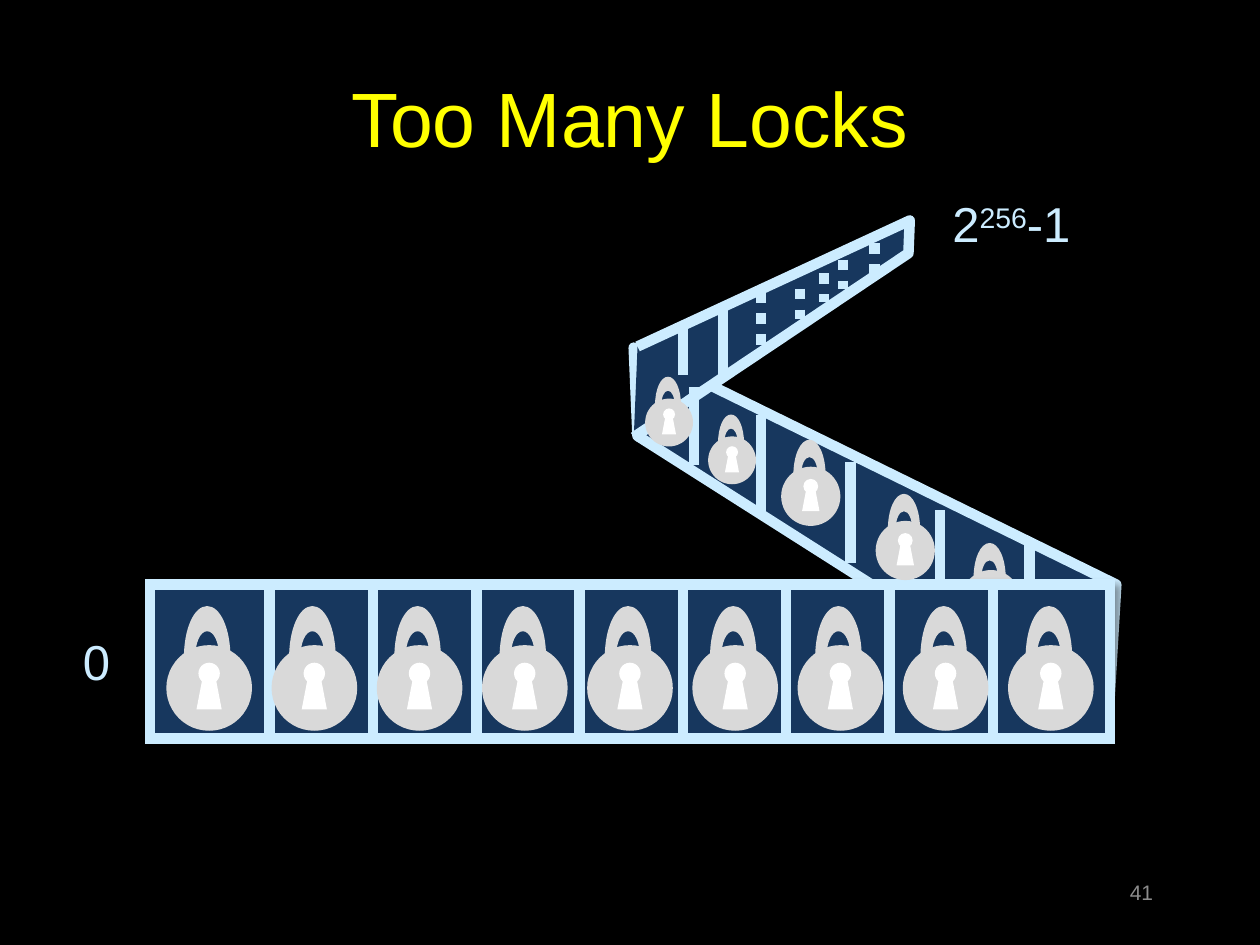
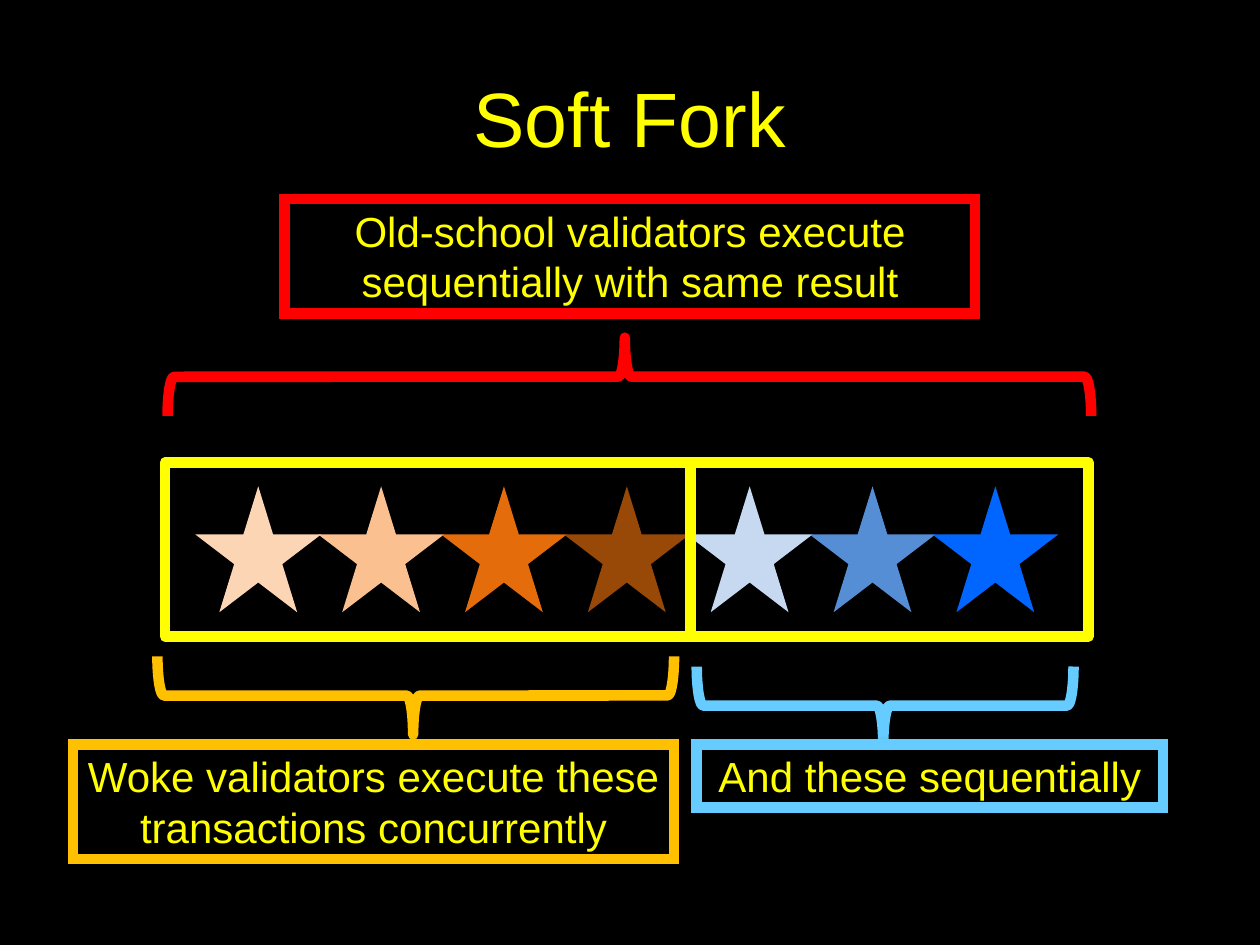
from lxml.etree import SubElement
from pptx import Presentation
from pptx.dml.color import RGBColor
from pptx.enum.dml import MSO_LINE
from pptx.enum.shapes import MSO_CONNECTOR, MSO_SHAPE
from pptx.enum.text import MSO_ANCHOR, MSO_AUTO_SIZE, PP_ALIGN
from pptx.oxml.ns import qn
from pptx.util import Pt

EMU_PER_PX = 9144  # 100 px to the inch
FONT = "Arial"
BLACK, WHITE, YELLOW, RED = "000000", "FFFFFF", "FFFF00", "FF0000"
NAVY, PALE_BLUE, LOCK_GREY, NUMBER_GREY = "17375E", "CCECFF", "D9D9D9", "8C8C8C"
ORANGE, SKY_BLUE = "FFC000", "66CCFF"
STAR_COLORS = ["FCD5B5", "FAC090", "E46C0A", "984807", "C6D9F1", "558ED5", "0066FF"]
LINE_WIDTH = Pt(6)


def px(length):
    return round(length * EMU_PER_PX)


def box(*lengths):
    return [px(length) for length in lengths]


def rgb(color):
    return RGBColor.from_string(color)


def style_shape(shape, fill=None, line=None, miter=False):
    shape.shadow.inherit = False
    if fill:
        shape.fill.solid()
        shape.fill.fore_color.rgb = rgb(fill)
    else:
        shape.fill.background()
    if line:
        shape.line.color.rgb = rgb(line)
        shape.line.width = LINE_WIDTH
        if miter:
            SubElement(shape.line._get_or_add_ln(), qn("a:miter"), lim="800000")
    else:
        shape.line.fill.background()
    return shape


def add_preset(shapes, preset, bounds, fill=None, line=None, miter=False):
    shape = shapes.add_shape(preset, *box(*bounds))
    return style_shape(shape, fill, line, miter)


def add_outline(shapes, points, fill, line=None, close=True):
    corners = [box(*point) for point in points]
    builder = shapes.build_freeform(*corners[0], scale=1.0)
    builder.add_line_segments(corners[1:], close=close)
    return style_shape(builder.convert_to_shape(), fill, line)


def add_vertical_line(shapes, x, top, bottom, color, dash=None):
    connector = shapes.add_connector(MSO_CONNECTOR.STRAIGHT, *box(x, top, x, bottom))
    connector.line.color.rgb = rgb(color)
    connector.line.width = LINE_WIDTH
    if dash:
        connector.line.dash_style = dash
    SubElement(connector._element.spPr, qn("a:effectLst"))


def add_drop_shadow(shape):
    effects = shape._element.spPr.find(qn("a:effectLst"))
    shadow = SubElement(effects, qn("a:outerShdw"), blurRad=str(Pt(4)),
                        dist=str(Pt(3)), dir="2700000", rotWithShape="0")
    color = SubElement(shadow, qn("a:srgbClr"), val=BLACK)
    SubElement(color, qn("a:alpha"), val="40000")


def format_paragraph(paragraph, size, color, align):
    paragraph.alignment = align
    for run in paragraph.runs:
        run.font.name = FONT
        run.font.size = Pt(size)
        run.font.color.rgb = rgb(color)


def add_range_label(slide, bounds, parts):
    """Add one line of text; every second part is raised as an exponent."""
    label = add_preset(slide.shapes, MSO_SHAPE.RECTANGLE, bounds, BLACK)
    add_drop_shadow(label)
    text_frame = label.text_frame
    text_frame.word_wrap = False
    text_frame.auto_size = MSO_AUTO_SIZE.SHAPE_TO_FIT_TEXT
    text_frame.vertical_anchor = MSO_ANCHOR.TOP
    paragraph = text_frame.paragraphs[0]
    for index, part in enumerate(parts):
        run = paragraph.add_run()
        run.text = part
        if index % 2:
            run._r.get_or_add_rPr().set("baseline", "30000")
    format_paragraph(paragraph, 28, PALE_BLUE, PP_ALIGN.LEFT)


def add_slide_number(slide, number):
    text_frame = slide.shapes.add_textbox(*box(717, 683, 208, 50)).text_frame
    text_frame.word_wrap = True
    text_frame.vertical_anchor = MSO_ANCHOR.MIDDLE
    text_frame.text = number
    format_paragraph(text_frame.paragraphs[0], 12, NUMBER_GREY, PP_ALIGN.RIGHT)


def add_caption(slide, bounds, text, line):
    shape = add_preset(slide.shapes, MSO_SHAPE.RECTANGLE, bounds, BLACK, line, miter=True)
    add_drop_shadow(shape)
    text_frame = shape.text_frame
    text_frame.word_wrap = True
    text_frame.auto_size = MSO_AUTO_SIZE.SHAPE_TO_FIT_TEXT
    text_frame.vertical_anchor = MSO_ANCHOR.TOP
    text_frame.text = text
    format_paragraph(text_frame.paragraphs[0], 24, YELLOW, PP_ALIGN.CENTER)


def add_flat_brace(slide, left, top, width, depth, color, points_up=False):
    """Turn a left brace so that it spans the given box horizontally."""
    bounds = (left + (width - depth) / 2, top + (depth - width) / 2, depth, width)
    brace = add_preset(slide.shapes, MSO_SHAPE.LEFT_BRACE, bounds, line=color)
    brace.rotation = 90 if points_up else 270
    brace.adjustments[0] = 0.083
    brace.adjustments[1] = 0.505 if points_up else 0.495


def bend_segments(shape, first_segments):
    """Merge three straight segments into one curve at each given index."""
    path = shape._element.spPr.find(".//" + qn("a:path"))
    segments = path.findall(qn("a:lnTo"))
    for first in first_segments:
        curve = SubElement(path, qn("a:cubicBezTo"))
        segments[first].addprevious(curve)
        for segment in segments[first:first + 3]:
            curve.append(segment[0])
            path.remove(segment)
    return path


def add_shackle(shapes, points):
    """Draw the half ring in a frame that holds the whole ring."""
    shackle = add_outline(shapes, points, LOCK_GREY)
    path = bend_segments(shackle, [0, 3, 7, 10])
    shackle.height *= 2
    path.set("h", str(shackle.height))


def add_lock(slide, left, top, width=68, has_slot=True):
    """Draw a padlock, designed 68 px wide, at the given width."""
    scale = width / 68
    shapes = slide.shapes.add_group_shape().shapes

    def place(points):
        return [(left + x * scale, top + y * scale) for x, y in points]

    def add_disc(x, y, size, color):
        corner = place([(x, y)])[0]
        add_preset(shapes, MSO_SHAPE.OVAL, (*corner, size * scale, size * scale), color)

    add_disc(0, 31, 68, LOCK_GREY)
    add_disc(25.5, 45, 17, WHITE)
    if has_slot:
        add_outline(shapes, place([(24, 82), (29, 56), (39, 56), (44, 82)]), WHITE)
    inner = [(23, 41), (23, 29), (27, 20), (32.5, 20), (38, 20), (42, 29), (42, 41)]
    outer = [(51, 41), (51, 18), (43, 0), (32.5, 0), (22, 0), (14, 18), (14, 41)]
    add_shackle(shapes, place(inner + outer))


def add_titled_slide(presentation, text):
    slide = presentation.slides.add_slide(presentation.slide_layouts[5])
    title = slide.shapes.title
    title.left, title.top, title.width, title.height = box(50, 30, 900, 125)
    title.text_frame.text = text
    title.text_frame.vertical_anchor = MSO_ANCHOR.MIDDLE
    format_paragraph(title.text_frame.paragraphs[0], 44, YELLOW, PP_ALIGN.CENTER)
    return slide


def build_locks_slide(presentation):
    slide = add_titled_slide(presentation, "Too Many Locks")
    shapes = slide.shapes
    middle_strip = [(879, 583), (506, 346), (503, 276), (886, 464)]
    far_strip = [(503, 347), (721, 201), (722, 175), (506, 275)]
    add_outline(shapes, middle_strip, NAVY, PALE_BLUE)
    add_lock(slide, 763, 431, 47, has_slot=False)
    add_outline(shapes, far_strip, NAVY, PALE_BLUE, close=False)
    add_slide_number(slide, "41")

    front_top, front_height = 464, 122
    front_row = add_preset(shapes, MSO_SHAPE.RECTANGLE, (119, front_top, 762, front_height),
                           NAVY, PALE_BLUE, miter=True)
    add_drop_shadow(front_row)
    for index in range(8):
        add_vertical_line(shapes, 214 + 82 * index, front_top,
                          front_top + front_height, PALE_BLUE)

    strip_dividers = [(817, 430, 464), (746, 405, 464), (675, 367, 447), (604, 329, 409),
                      (551, 307, 369), (542, 261, 298), (574, 243, 298)]
    for divider in strip_dividers:
        add_vertical_line(shapes, *divider, PALE_BLUE)
    distant_dividers = [(604, 232, 279), (635, 229, 253), (669, 206, 229),
                        (694, 193, 217), (654, 217, 240)]
    for divider in distant_dividers:
        add_vertical_line(shapes, *divider, PALE_BLUE, MSO_LINE.ROUND_DOT)

    add_range_label(slide, (56, 496, 42, 57), ["0"])
    add_range_label(slide, (746, 149, 128, 57), ["2", "256", "-1"])

    for index in range(9):
        add_lock(slide, 132 + 83.5 * index, 481)
    for lock in [(695, 392, 47), (620, 349, 47), (562, 329, 38), (512, 299, 38)]:
        add_lock(slide, *lock)


def build_fork_slide(presentation):
    slide = add_titled_slide(presentation, "Soft Fork")
    for index, color in enumerate(STAR_COLORS):
        add_preset(slide.shapes, MSO_SHAPE.STAR_5_POINT,
                   (155 + 97.5 * index, 386, 100, 100), color)
    add_preset(slide.shapes, MSO_SHAPE.RECTANGLE, (131, 367, 733, 138), line=YELLOW)
    add_vertical_line(slide.shapes, 548, 367, 505, YELLOW)

    add_flat_brace(slide, 125, 521, 410, 62, ORANGE)
    add_caption(slide, (58, 591, 477, 91),
                "Woke validators execute these transactions concurrently", ORANGE)
    add_caption(slide, (226, 158, 548, 91),
                "Old-school validators execute sequentially with same result", RED)
    add_flat_brace(slide, 133, 268, 733, 62, RED, points_up=True)
    add_flat_brace(slide, 553, 529, 299, 62, SKY_BLUE)
    add_caption(slide, (553, 591, 370, 50), "And these sequentially", SKY_BLUE)


def main():
    presentation = Presentation()
    presentation.slide_width, presentation.slide_height = box(1000, 750)
    background = presentation.slide_master.background.fill
    background.solid()
    background.fore_color.rgb = rgb(BLACK)
    build_locks_slide(presentation)
    build_fork_slide(presentation)
    presentation.save("out.pptx")


if __name__ == "__main__":
    main()
